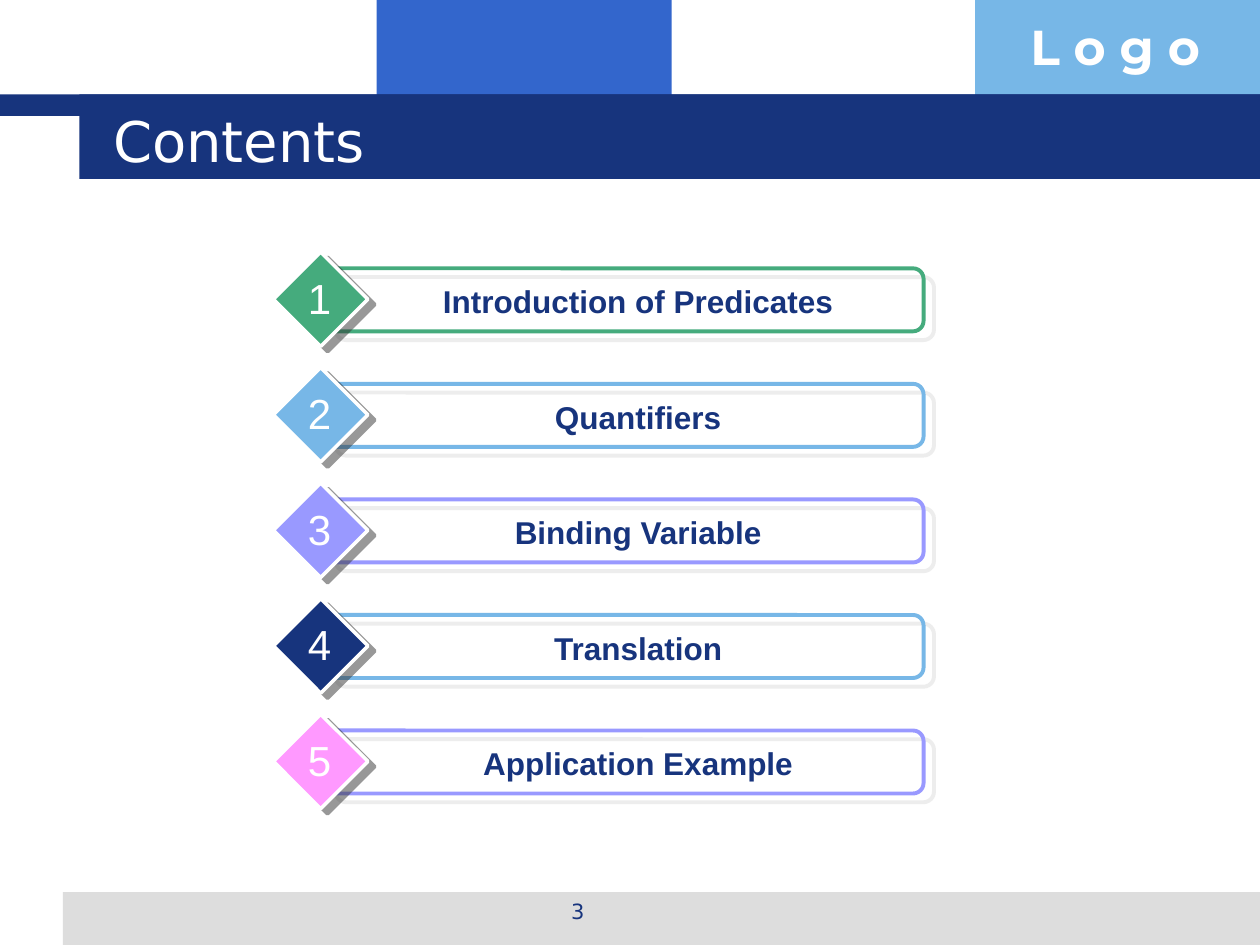
from lxml import etree
from pptx import Presentation
from pptx.dml.color import RGBColor
from pptx.enum.shapes import MSO_SHAPE as Kind
from pptx.enum.text import MSO_ANCHOR as Anchor, PP_ALIGN as Align
from pptx.oxml.ns import qn
from pptx.util import Inches, Pt

NAVY, BLUE, SKY, GREY, WHITE = "17347D", "3366CC", "77B7E7", "DDDDDD", "FFFFFF"
GREEN, LILAC, PINK, DARK = "45AB7D", "9999FF", "FF99FF", "333333"

deck = Presentation()
deck.slide_width, deck.slide_height = Inches(10), Inches(7.5)
slide = deck.slides.add_slide(deck.slide_layouts[6])


def draw(kind, box, fill=None, line=None, width=0, shade=None):
    """Add a shape; shade is (colour, distance in points, angle)."""
    shape = slide.shapes.add_shape(kind, *map(Inches, box))
    shape.shadow.inherit = False
    if fill:
        shape.fill.solid()
        shape.fill.fore_color.rgb = RGBColor.from_string(fill)
    else:
        shape.fill.background()
    if line:
        shape.line.color.rgb = RGBColor.from_string(line)
        shape.line.width = Pt(width)
    else:
        shape.line.fill.background()
    if shade:
        tint, dist, angle = shade
        effects = shape._element.spPr.find(qn("a:effectLst"))
        outer = etree.SubElement(
            effects, qn("a:outerShdw"), blurRad="0", dist=str(Pt(dist)),
            dir=str(angle * 60000), algn="ctr", rotWithShape="0")
        color = etree.SubElement(outer, qn("a:srgbClr"), val=tint)
        etree.SubElement(color, qn("a:alpha"), val="50000")
    return shape


def write(words, box, size, font, color, bold=False, align=Align.CENTER, wrap=True):
    area = slide.shapes.add_textbox(*map(Inches, box))
    frame = area.text_frame
    frame.word_wrap = wrap
    para = frame.paragraphs[0]
    para.alignment = align
    run = para.add_run()
    run.text = words
    run.font.size = Pt(size)
    run.font.name = font
    run.font.bold = bold
    run.font.color.rgb = RGBColor.from_string(color)
    return frame


# Header and footer bands
bands = [
    ((2.99, 0, 2.34, 0.92), BLUE),
    ((7.74, 0, 2.26, 0.92), SKY),
    ((0.5, 7.08, 9.5, 0.42), GREY),
    ((0, 0.75, 10, 0.17), NAVY),
    ((0.63, 0.75, 9.37, 0.67), NAVY),
]
for box, fill in bands:
    draw(Kind.RECTANGLE, box, fill)

# Header text and page number
write("L o g o", (8.08, 0.08, 1.93, 0.57), 28, "Montserrat", WHITE, True, Align.LEFT)
write("3", (3.42, 7.08, 2.33, 0.35), 12, "DejaVu Sans", NAVY)
title = write("Contents", (0.8, 0.8, 8.53, 0.62), 32, "DejaVu Sans", WHITE,
              align=Align.LEFT)
title.vertical_anchor = Anchor.MIDDLE

# Numbered topics: text, frame colour, diamond colour
topics = [
    ("Introduction of Predicates", GREEN, GREEN),
    ("Quantifiers", SKY, SKY),
    ("Binding Variable", LILAC, LILAC),
    ("Translation", SKY, NAVY),
    ("Application Example", LILAC, PINK),
]
TOP, STEP = 2, 0.917
for i, (topic, edge, fill) in enumerate(topics):
    y = TOP + i * STEP
    draw(Kind.ROUNDED_RECTANGLE, (2.58, y + 0.13, 4.75, 0.5), None, edge, 2.25,
         (GREY, 7.8, 40))
    draw(Kind.DIAMOND, (2.17, y, 0.75, 0.75), fill, WHITE, 2, (DARK, 5, 37))
    write(topic, (2.9, y + 0.19, 4.33, 0.4), 18, "Arial", NAVY, True)
    write(str(i + 1), (2.34, y + 0.11, 0.39, 0.5), 24, "Arial", WHITE, wrap=False)

deck.save("out.pptx")
